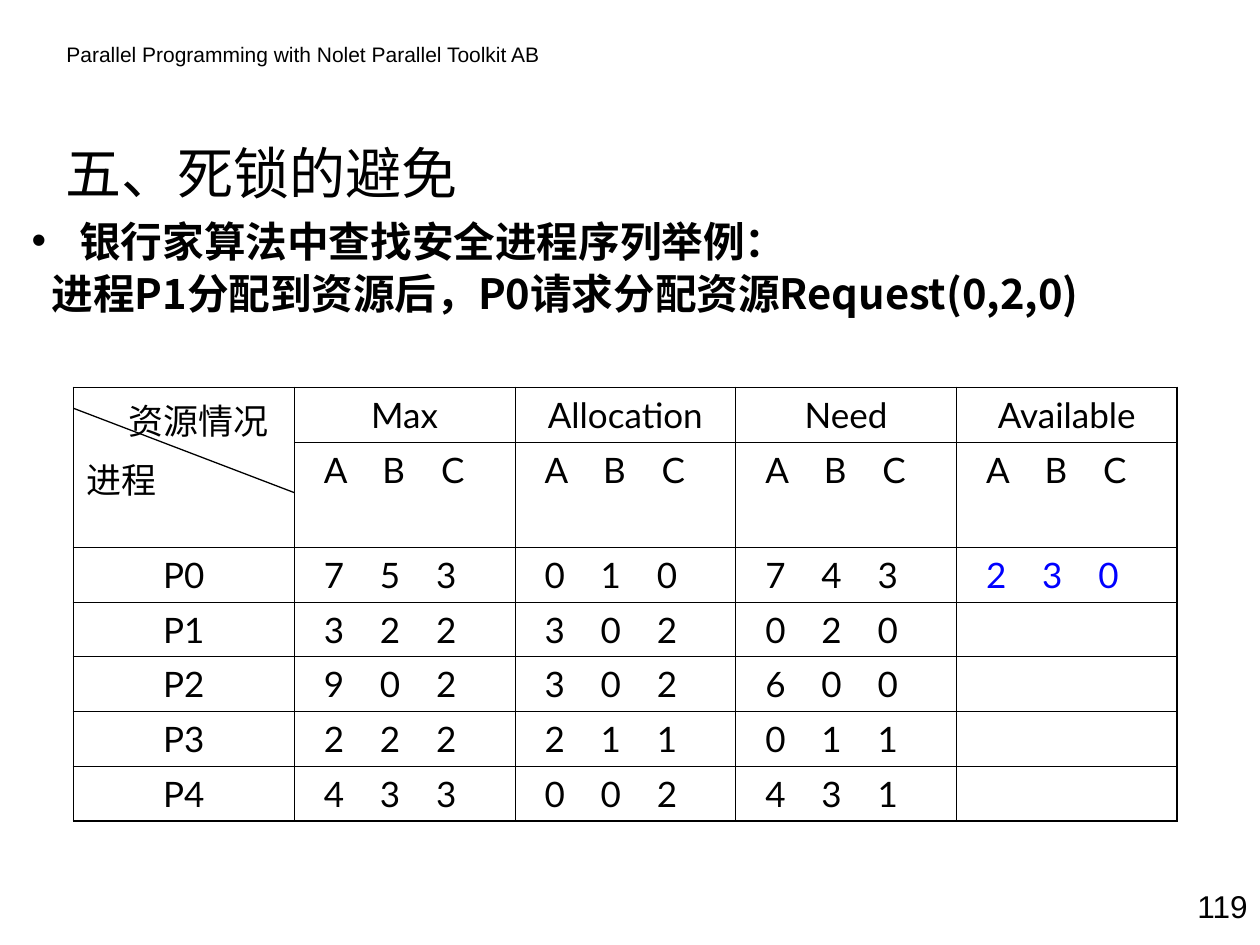
from lxml import etree
from pptx import Presentation
from pptx import util as u
from pptx.dml.color import RGBColor
from pptx.enum import shapes, text
from pptx.oxml import ns

BLACK = RGBColor(0x00, 0x00, 0x00)
BLUE = RGBColor(0x00, 0x00, 0xFF)
CJK_FONT = "Noto Sans CJK SC"
THIN, THICK = u.Pt(0.45), u.Pt(1.08)


def format_runs(text_frame, size, name, color=BLACK, bold=False):
    for paragraph in text_frame.paragraphs:
        for run in paragraph.runs:
            run.font.size = u.Pt(size)
            run.font.bold = bold
            run.font.color.rgb = color
            run.font.name = name
            east_asian = etree.SubElement(run.font._element, ns.qn("a:ea"))
            east_asian.set("typeface", CJK_FONT)


def add_border(cell, side, width):
    properties = cell._tc.get_or_add_tcPr()
    line = etree.SubElement(properties, ns.qn(f"a:ln{side}"), w=str(int(width)))
    fill = etree.SubElement(line, ns.qn("a:solidFill"))
    etree.SubElement(fill, ns.qn("a:srgbClr"), val=str(BLACK))


presentation = Presentation()
presentation.slide_width, presentation.slide_height = u.Cm(25.4), u.Cm(19.05)
slide = presentation.slides.add_slide(presentation.slide_layouts[1])

# Running header and page number
for words, left, top, width, height, size, alignment in [
    ("Parallel Programming with Nolet Parallel Toolkit AB",
     1.09, 0.71, 10.41, 0.76, 12, text.PP_ALIGN.LEFT),
    ("119", 23.06, 17.75, 2.34, 1.02, 18, text.PP_ALIGN.RIGHT),
]:
    box = slide.shapes.add_textbox(u.Cm(left), u.Cm(top), u.Cm(width), u.Cm(height))
    box.text_frame.word_wrap = True
    box.text_frame.text = words
    box.text_frame.paragraphs[0].alignment = alignment
    format_runs(box.text_frame, size, "Arial")

# Title
title = slide.shapes.title
title.left, title.top = u.Cm(1.07), u.Cm(2.51)
title.width, title.height = u.Cm(22.86), u.Cm(1.9)
title.text_frame.text = "五、死锁的避免"
title.text_frame.auto_size = text.MSO_AUTO_SIZE.NONE
title.text_frame.vertical_anchor = text.MSO_ANCHOR.MIDDLE
title.text_frame.paragraphs[0].alignment = text.PP_ALIGN.LEFT
format_runs(title.text_frame, 32, CJK_FONT)

# Bulleted statement and its continuation line
body = slide.placeholders[1]
body.left, body.top = u.Cm(0.64), u.Cm(4.42)
body.width, body.height = u.Cm(24.76), u.Cm(2.34)
frame = body.text_frame
frame.auto_size = text.MSO_AUTO_SIZE.NONE
frame.margin_left = frame.margin_right = 0
frame.text = ("银行家算法中查找安全进程序列举例：\n"
              "进程P1分配到资源后，P0请求分配资源Request(0,2,0)")
for paragraph, margin, indent, bullet in zip(
        frame.paragraphs, (0.96, 0.4), (-0.96, 0), ("•", None)):
    properties = paragraph._p.get_or_add_pPr()
    properties.set("marL", str(u.Cm(margin)))
    properties.set("indent", str(u.Cm(indent)))
    if bullet:
        etree.SubElement(properties, ns.qn("a:buChar"), char=bullet)
    else:
        etree.SubElement(properties, ns.qn("a:buNone"))
    paragraph.line_spacing = 0.8
    paragraph.space_before = u.Pt(7 if paragraph._p is not frame.paragraphs[0]._p else 0)
format_runs(frame, 23.8, CJK_FONT, bold=True)

# Resource table: each group of three values is spread over tab stops
rows = [
    ["资源情况\n进程", "Max", "Allocation", "Need", "Available"],
    ["", "A B C", "A B C", "A B C", "A B C"],
    ["P0", "7 5 3", "0 1 0", "7 4 3", "2 3 0"],
    ["P1", "3 2 2", "3 0 2", "0 2 0", ""],
    ["P2", "9 0 2", "3 0 2", "6 0 0", ""],
    ["P3", "2 2 2", "2 1 1", "0 1 1", ""],
    ["P4", "4 3 3", "0 0 2", "4 3 1", ""],
]
last_row, last_column = len(rows) - 1, len(rows[0]) - 1
table = slide.shapes.add_table(len(rows), len(rows[0]), u.Cm(1.48), u.Cm(7.81),
                               u.Cm(22.23), u.Cm(7.7)).table
table.first_row = table.horz_banding = False
for column in table.columns:
    column.width = u.Cm(4.45)
for index, row in enumerate(table.rows):
    row.height = u.Cm(2.12 if index == 1 else 1.1)

for r, values in enumerate(rows):
    for c, value in enumerate(values):
        cell = table.cell(r, c)
        for side, outer in (("L", c == 0), ("R", c == last_column),
                            ("T", r == 0), ("B", r == last_row)):
            add_border(cell, side, THICK if outer else THIN)
        cell.fill.background()
        cell.text_frame.text = value.replace(" ", "\t")
        paragraph = cell.text_frame.paragraphs[0]
        if " " in value:
            cell.margin_left = u.Cm(0.6)
            stops = etree.SubElement(paragraph._p.get_or_add_pPr(), ns.qn("a:tabLst"))
            gap = 1.18 if r == 1 else 1.13
            for step in (1, 2):
                etree.SubElement(stops, ns.qn("a:tab"), pos=str(u.Cm(step * gap)), algn="l")
        elif (r, c) != (0, 0):
            paragraph.alignment = text.PP_ALIGN.CENTER
        color = BLUE if (r, c) == (2, last_column) else BLACK
        format_runs(cell.text_frame, 20, "Lato", color)

# Split corner cell with its diagonal
corner = table.cell(0, 0)
corner.merge(table.cell(1, 0))
resource_label, process_label = corner.text_frame.paragraphs
resource_label._p.get_or_add_pPr().set("marL", str(u.Cm(0.85)))
process_label.space_before = u.Pt(5)
diagonal = slide.shapes.add_connector(shapes.MSO_CONNECTOR.STRAIGHT, u.Cm(1.48), u.Cm(8.23),
                                      u.Cm(5.93), u.Cm(9.93))
diagonal.line.color.rgb = BLACK
diagonal.line.width = u.Pt(0.75)
etree.SubElement(diagonal._element.spPr, ns.qn("a:effectLst"))

presentation.save("out.pptx")
